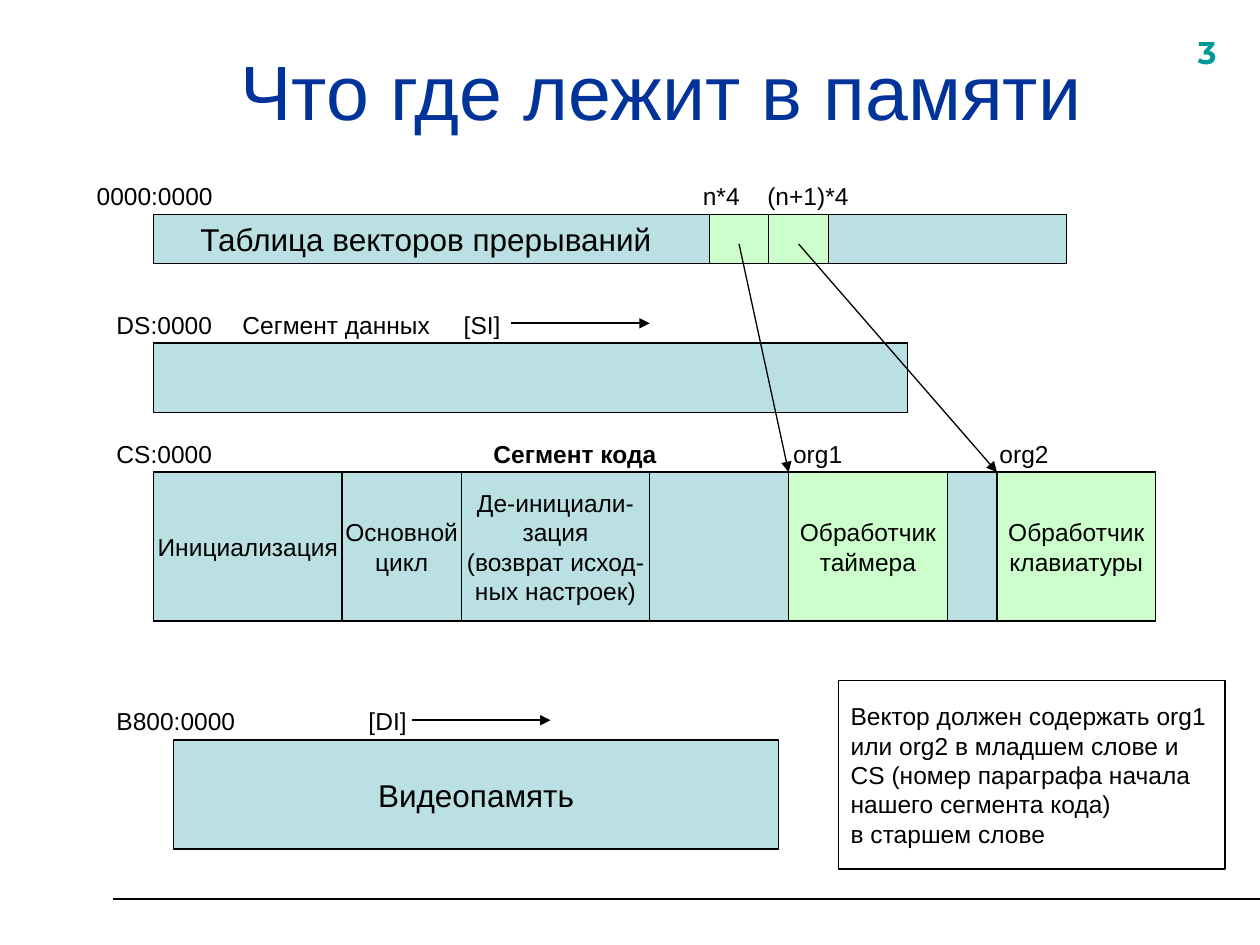
from copy import deepcopy
from itertools import accumulate

from lxml.etree import SubElement
from pptx import Presentation
from pptx.dml.color import RGBColor
from pptx.enum.shapes import MSO_CONNECTOR as Connector, MSO_SHAPE as Shape
from pptx.enum.text import MSO_ANCHOR as Anchor, PP_ALIGN as Align
from pptx.oxml.ns import qn
from pptx.util import Inches, Mm, Pt

GRID_LEFT, GRID_TOP = Inches(1.22), Inches(1.7)
CELL = Mm(2)
BLUE, GREEN, BLACK = "BBE0E3", "CCFFCC", "000000"


def colour(value):
    """Turn a hex string into a colour."""
    return RGBColor.from_string(value)


def grid_point(column, row):
    """Return the slide position of a grid point."""
    return GRID_LEFT + round(column * CELL), GRID_TOP + round(row * CELL)


def grid_box(column, row, columns, rows):
    """Return left, top, width and height of a block of grid cells."""
    return (*grid_point(column, row), round(columns * CELL), round(rows * CELL))


def format_text(frame, size, align=Align.LEFT, ink=BLACK, font="Arial", bold=False):
    """Format every run and line break of a text frame."""
    for para in frame.paragraphs:
        para.alignment = align
        for span in para.runs:
            span.font.name = font
            span.font.size = Pt(size)
            span.font.bold = bold
            span.font.color.rgb = colour(ink)
        for line_break in para._p.findall(qn("a:br")):
            line_break.append(deepcopy(para.runs[0]._r.rPr))


def add_block(page, box, fill=None, text="", size=14, align=Align.CENTER, indent=0.1):
    """Draw an outlined rectangle, with text if any."""
    block = page.shapes.add_shape(Shape.RECTANGLE, *box)
    block.shadow.inherit = False
    block.line.color.rgb = colour(BLACK)
    block.line.width = Pt(0.75)
    if fill:
        block.fill.solid()
        block.fill.fore_color.rgb = colour(fill)
    else:
        block.fill.background()
    if text:
        frame = block.text_frame
        frame.text = text
        frame.word_wrap = align == Align.LEFT
        frame.vertical_anchor = Anchor.MIDDLE
        frame.margin_left = Inches(indent)
        format_text(frame, size, align)


def add_line(page, start, end, width, arrow=True):
    """Draw a straight line, with an arrowhead at its end if wanted."""
    line = page.shapes.add_connector(Connector.STRAIGHT, *start, *end)
    line.line.color.rgb = colour(BLACK)
    line.line.width = Pt(width)
    properties = line._element.spPr
    if arrow:
        SubElement(properties.find(qn("a:ln")), qn("a:tailEnd"), type="triangle")
    SubElement(properties, qn("a:effectLst"))


def add_label(page, box, fields, stops, bold_field=None):
    """Write the fields of a label line at its tab stops, counted in columns."""
    frame = page.shapes.add_textbox(*box).text_frame
    frame.word_wrap = True
    frame.text = fields[0]
    para = frame.paragraphs[0]
    for field in fields[1:]:
        para.add_run().text = "\t" + field
    tabs = SubElement(para._p.get_or_add_pPr(), qn("a:tabLst"))
    for stop in stops:
        SubElement(tabs, qn("a:tab"), pos=str(round(stop * CELL)), algn="l")
    format_text(frame, 14)
    if bold_field is not None:
        para.runs[bold_field].font.bold = True


def add_cells(page, column, row, rows, cells):
    """Lay cells of (columns, fill, text) side by side, leaving unfilled ones as gaps."""
    ends = accumulate(columns for columns, _, _ in cells)
    for end, (columns, fill, text) in zip(ends, cells):
        if fill:
            add_block(page, grid_box(column + end - columns, row, columns, rows), fill, text)


def add_header(page, deck):
    """Fill the title, the page number and the bottom rule."""
    width, height = deck.slide_width, deck.slide_height
    title = page.shapes.title
    title.left, title.top, title.width, title.height = (
        Inches(0.75), Inches(0.28), Inches(9), Inches(0.87))
    title.text_frame.text = "Что где лежит в памяти"
    title.text_frame.vertical_anchor = Anchor.MIDDLE
    format_text(title.text_frame, 44, Align.CENTER, "003399")
    number = page.shapes.add_textbox(Inches(9.41), Inches(0.21), Inches(0.63), Inches(0.44))
    number.text_frame.text = "3"
    number.text_frame.word_wrap = True
    format_text(number.text_frame, 18, ink="009999", font="Montserrat", bold=True)
    rule = round(height * 0.95) + Inches(0.01)
    add_line(page, (round(width * 0.09), rule), (width, rule), 1.25, arrow=False)


def add_vector_table(page, row):
    """Draw the interrupt vector table."""
    add_block(page, grid_box(0, row, 92, 5), BLUE, "Таблица векторов прерываний",
              18, Align.LEFT, 0.37)
    add_cells(page, 56, row, 5, [(6, GREEN, "")] * 2)
    add_label(page, grid_box(-7, row - 4, 99, 4.3),
              ["0000:0000", "n*4", "(n+1)*4"], [61.1, 67.6])


def add_data_segment(page, row):
    """Draw the data segment and its index arrow."""
    add_block(page, grid_box(0, row, 76, 7), BLUE)
    add_label(page, grid_box(-5, row - 4, 42, 4.3),
              ["DS:0000", "Сегмент данных", "[SI]"], [12.7, 35])
    add_line(page, grid_point(36, row - 2), grid_point(50, row - 2), 1.25)


def add_code_segment(page, row):
    """Draw the code segment with its routines."""
    add_block(page, grid_box(0, row, 101, 15), BLUE)
    add_cells(page, 0, row, 15, [
        (19, BLUE, "Инициализация"),
        (12, BLUE, "Основной\vцикл"),
        (19, BLUE, "Де-инициали-\vзация\v(возврат исход-\vных настроек)"),
        (14, None, ""),
        (16, GREEN, "Обработчик\vтаймера"),
        (5, None, ""),
        (16, GREEN, "Обработчик\vклавиатуры"),
    ])
    add_label(page, grid_box(-5, row - 4, 106, 4.3),
              ["CS:0000", "Сегмент кода", "org1", "org2"], [38, 68.2, 89], bold_field=1)


def add_video_memory(page, row):
    """Draw the video memory and its index arrow."""
    add_block(page, grid_box(2, row, 61, 11), BLUE, "Видеопамять", 18)
    add_label(page, grid_box(-5, row - 4, 33, 4.3), ["B800:0000", "[DI]"], [25.4])
    add_line(page, grid_point(26, row - 2), grid_point(40, row - 2), 1.25)


def add_note(page, box):
    """Draw the boxed remark on the vector contents."""
    add_block(page, box, text="Вектор должен содержать org1\vили org2 в младшем слове и\n"
              "CS (номер параграфа начала\vнашего сегмента кода)\vв старшем слове",
              align=Align.LEFT)


def main():
    """Build and save the slide."""
    deck = Presentation()
    deck.slide_width, deck.slide_height = Inches(10), Inches(7.5)
    page = deck.slides.add_slide(deck.slide_layouts[5])
    add_header(page, deck)
    add_vector_table(page, 0)
    add_data_segment(page, 13)
    add_code_segment(page, 26)
    add_video_memory(page, 53)
    for vector, handler in ((59, 64), (65, 85)):
        add_line(page, grid_point(vector, 3), grid_point(handler, 26), 0.75)
    add_note(page, grid_box(69, 47, 39, 19))
    deck.save("out.pptx")


if __name__ == "__main__":
    main()
